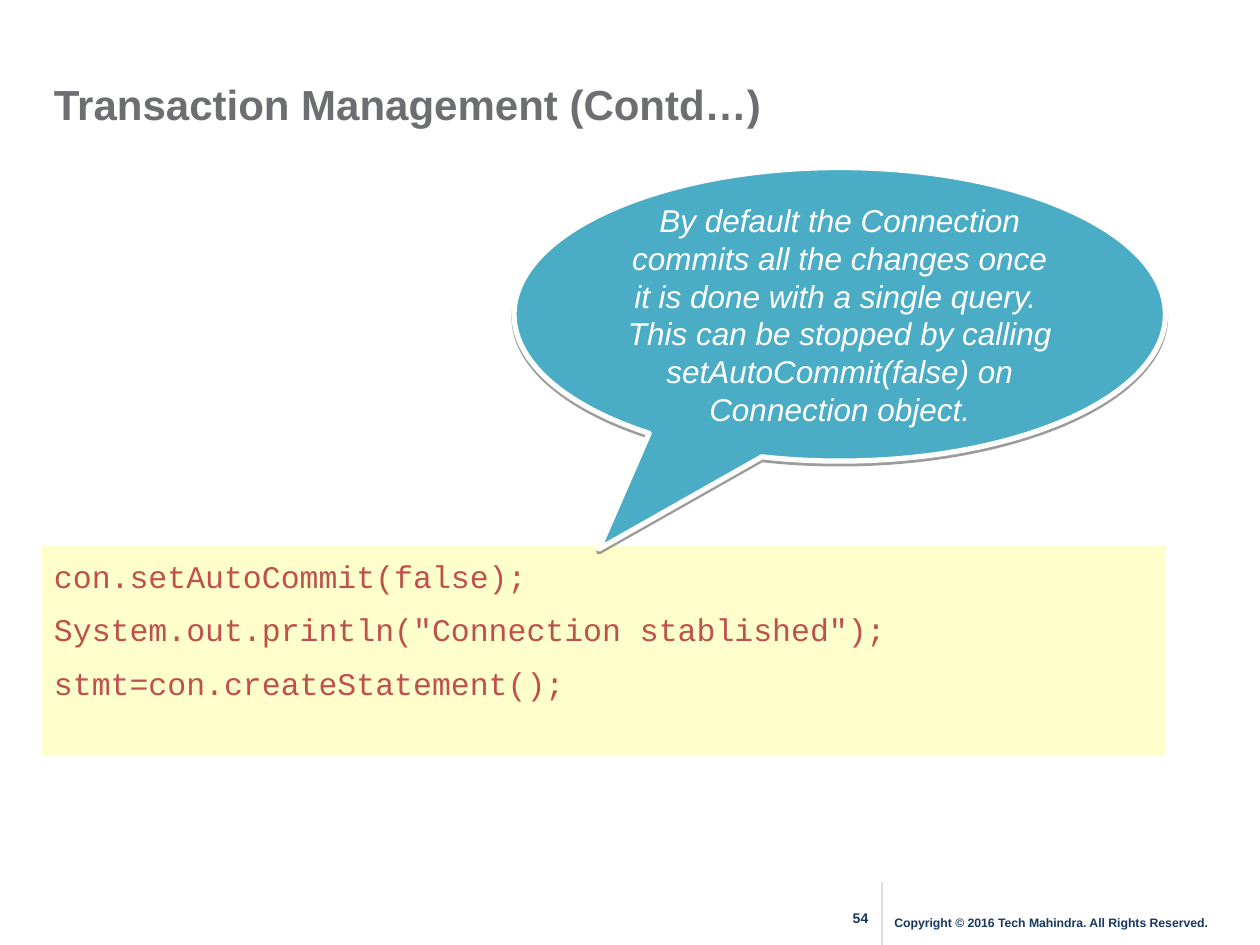
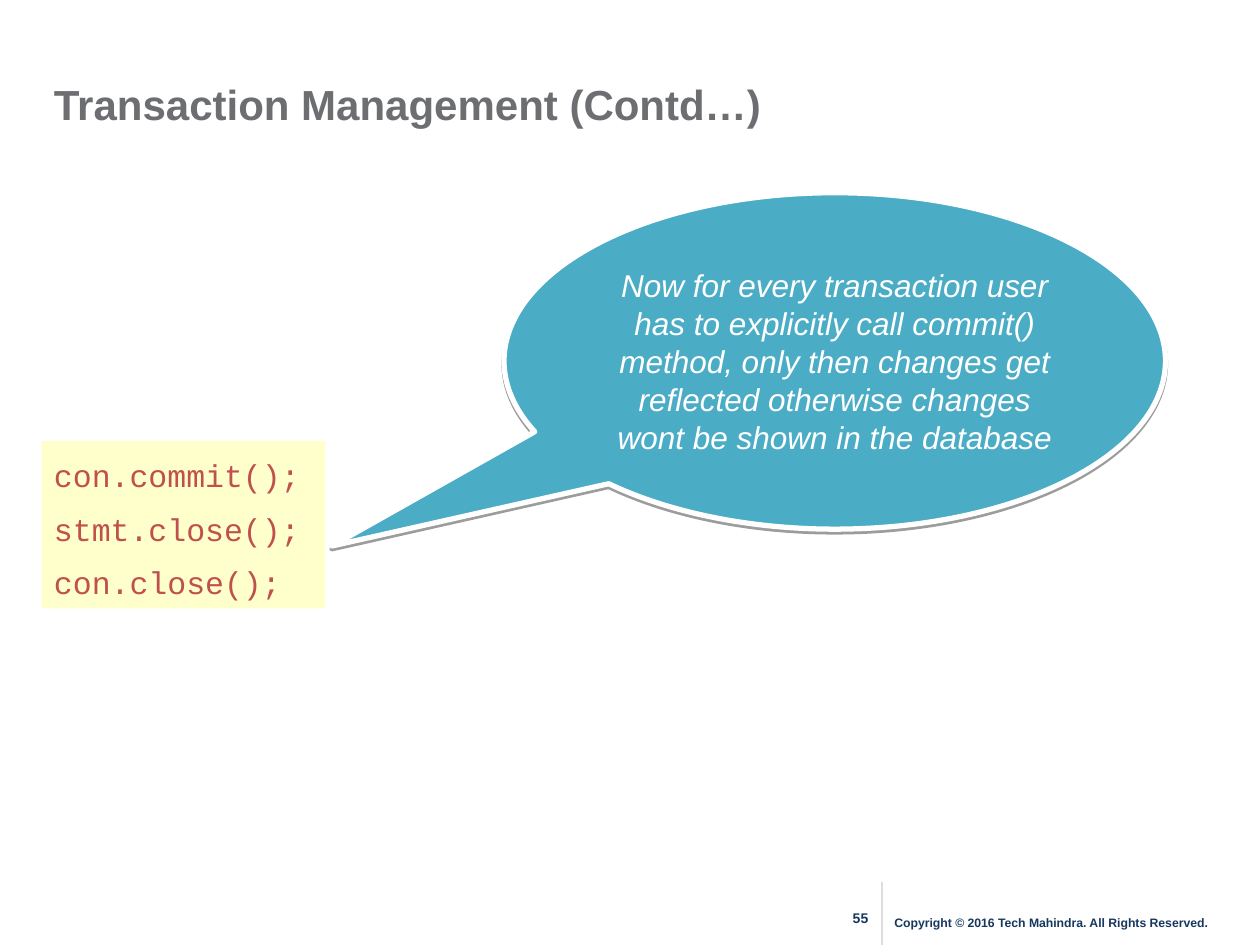
from pptx import Presentation
from pptx.dml.color import RGBColor
from pptx.enum.shapes import MSO_CONNECTOR, MSO_SHAPE
from pptx.enum.text import MSO_ANCHOR, PP_ALIGN
from pptx.oxml import parse_xml
from pptx.oxml.ns import nsdecls, qn
from pptx.util import Inches, Pt
from lxml.etree import SubElement

TITLE_GRAY = RGBColor(0x6D, 0x6E, 0x71)
FOOTER_NAVY = RGBColor(0x17, 0x37, 0x5E)
RULE_GRAY = RGBColor(0xDD, 0xDD, 0xDD)
CODE_RED = RGBColor(0xC0, 0x50, 0x4D)
CODE_YELLOW = RGBColor(0xFF, 0xFF, 0x99)
CALLOUT_BLUE = RGBColor(0x4B, 0xAC, 0xC6)
WHITE = RGBColor(0xFF, 0xFF, 0xFF)

TITLE = "Transaction Management (Contd…)"
COPYRIGHT = "Copyright © 2016 Tech Mahindra. All Rights Reserved."
SHADOW = (
    f'<a:outerShdw {nsdecls("a")} blurRad="0" dist="{Pt(1.6)}" dir="5400000" rotWithShape="0">'
    '<a:srgbClr val="000000"><a:alpha val="38000"/></a:srgbClr></a:outerShdw>'
)


def write(sp, lines, size, color, font="Arial", bold=False, italic=False,
          align=PP_ALIGN.LEFT, anchor=MSO_ANCHOR.MIDDLE, spacing=None, before=0, top=0.05):
    """Fill a shape with one paragraph per line."""
    tf = sp.text_frame
    tf.word_wrap = True
    tf.vertical_anchor = anchor
    tf.margin_top = Inches(top)
    for i, line in enumerate(lines):
        p = tf.paragraphs[0] if i == 0 else tf.add_paragraph()
        p.alignment = align
        p.line_spacing = spacing
        if i and before:
            p.space_before = Pt(before)
        r = p.add_run()
        r.text = line
        r.font.name, r.font.size = font, Pt(size)
        r.font.bold, r.font.italic = bold, italic
        r.font.color.rgb = color


class Deck:
    """Holds the presentation, its shared style and the current slide."""

    def __init__(self):
        self.prs = Presentation()
        self.prs.slide_width, self.prs.slide_height = Inches(10), Inches(7.5)
        self.slide = None

    def new_slide(self, number):
        self.slide = self.prs.slides.add_slide(self.prs.slide_layouts[6])
        self.text(6.58, 7.17, 0.5, 0.3, str(number), size=8, color=FOOTER_NAVY, bold=True,
                  align=PP_ALIGN.CENTER, anchor=MSO_ANCHOR.TOP)
        self.rule(7, 7, 7, 7.5)
        self.text(7, 7.2, 2.92, 0.25, COPYRIGHT, size=7, color=FOOTER_NAVY, bold=True)
        self.text(0.33, 0.6, 7.33, 0.45, TITLE, size=24, color=TITLE_GRAY, bold=True)

    def text(self, x, y, w, h, line, **style):
        sp = self.slide.shapes.add_textbox(Inches(x), Inches(y), Inches(w), Inches(h))
        write(sp, [line], **style)

    def rule(self, x1, y1, x2, y2):
        line = self.slide.shapes.add_connector(
            MSO_CONNECTOR.STRAIGHT, Inches(x1), Inches(y1), Inches(x2), Inches(y2))
        line.line.color.rgb = RULE_GRAY
        line.line.width = Pt(1.5)
        SubElement(line._element.spPr, qn("a:effectLst"))

    def shape(self, kind, x, y, w, h, fill):
        sp = self.slide.shapes.add_shape(kind, Inches(x), Inches(y), Inches(w), Inches(h))
        sp.shadow.inherit = False
        sp.fill.solid()
        sp.fill.fore_color.rgb = fill
        return sp

    def code(self, y, w, h, lines, top=0.05):
        """Add code lines on a half-transparent band."""
        sp = self.shape(MSO_SHAPE.RECTANGLE, 0.33, y, w, h, CODE_YELLOW)
        sp.line.fill.background()
        color = sp._element.spPr.find(qn("a:solidFill"))[0]
        SubElement(color, qn("a:alpha"), val="50000")
        write(sp, lines, 18, CODE_RED, font="Courier New", anchor=MSO_ANCHOR.TOP,
              spacing=1.14, before=5.9, top=top)

    def callout(self, x, y, w, h, tip, lines):
        """Add an oval callout; tip is the pointer's offset from the centre, as shares of w and h."""
        sp = self.shape(MSO_SHAPE.OVAL_CALLOUT, x, y, w, h, CALLOUT_BLUE)
        sp.adjustments[0], sp.adjustments[1] = tip
        sp.line.color.rgb = WHITE
        sp.line.width = Pt(3)
        sp._element.spPr.find(qn("a:effectLst")).append(parse_xml(SHADOW))
        write(sp, lines, 18, WHITE, italic=True, align=PP_ALIGN.CENTER)


def main():
    deck = Deck()

    deck.new_slide(54)
    deck.code(4.33, 8.92, 1.67, [
        "con.setAutoCommit(false);",
        'System.out.println("Connection stablished");',
        "stmt=con.createStatement();",
    ])
    deck.callout(4.08, 1.33, 5.17, 2.33, (-0.37, 0.8), [
        "By default the Connection commits all the changes once it is done with a single query. ",
        "This can be stopped by calling setAutoCommit(false) on Connection object.",
    ])

    deck.new_slide(55)
    deck.code(3.5, 2.25, 1.33, ["con.commit();", "stmt.close();", "con.close();"], top=0.08)
    deck.callout(4, 1.53, 5.25, 2.67, (-0.76, 0.55), [
        "Now for every transaction user has to explicitly call commit() method, only then "
        "changes get reflected otherwise changes wont be shown in the database",
    ])

    deck.prs.save("out.pptx")


if __name__ == "__main__":
    main()
